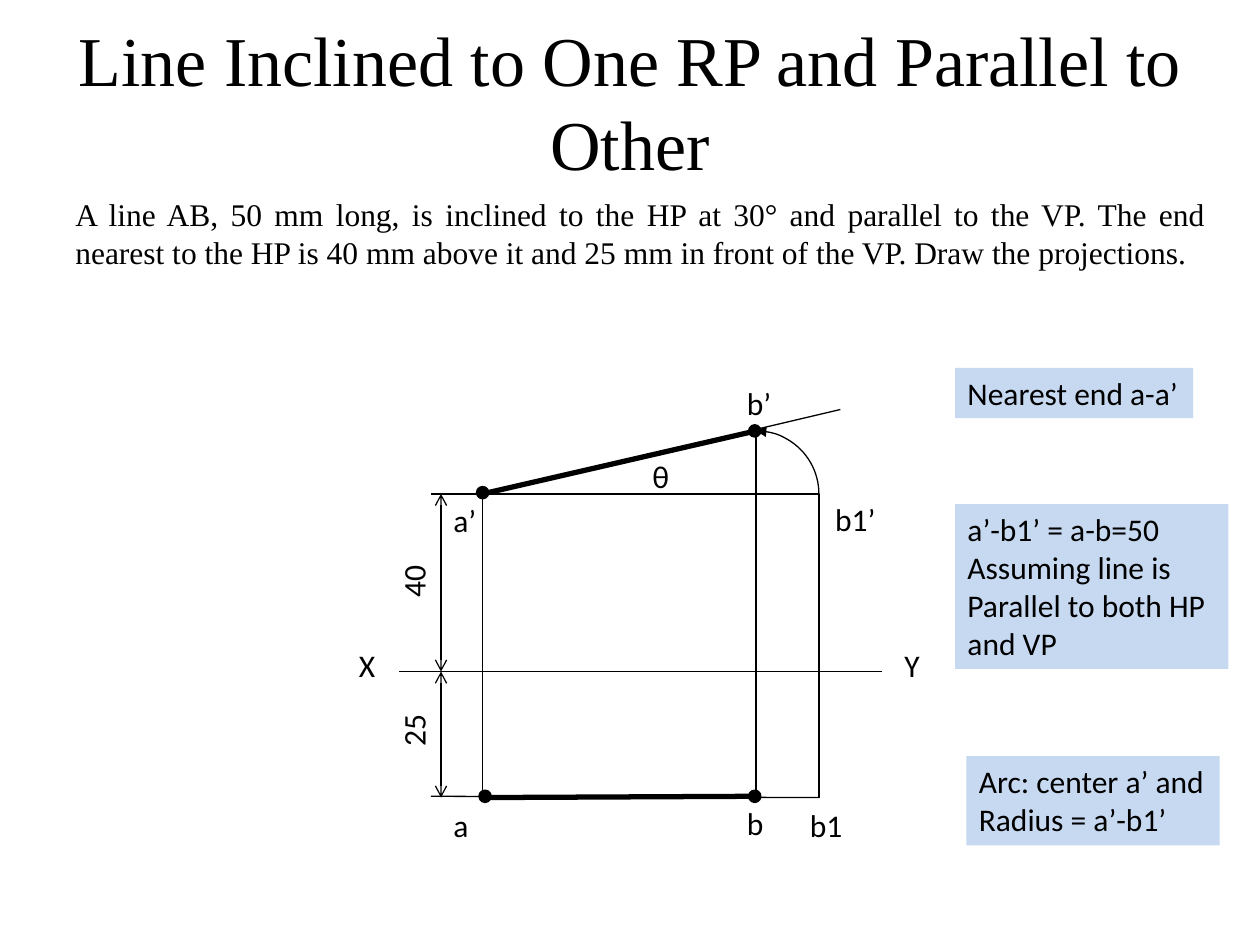
from lxml.etree import SubElement
from pptx import Presentation
from pptx.dml.color import RGBColor
from pptx.enum.shapes import MSO_CONNECTOR, MSO_SHAPE
from pptx.enum.text import MSO_ANCHOR, MSO_AUTO_SIZE, PP_ALIGN
from pptx.oxml.ns import qn
from pptx.util import Inches, Pt


def paint(target, color):
    """Give a fill or a font colour a solid hex colour."""
    if hasattr(target, "solid"):
        target.solid()
        target = target.fore_color
    target.rgb = RGBColor.from_string(color)


def write(shape, text, font="Calibri", size=18, align=PP_ALIGN.LEFT, wrap=False):
    frame = shape.text_frame
    frame.text = text
    frame_format = {
        "word_wrap": wrap,
        "auto_size": MSO_AUTO_SIZE.SHAPE_TO_FIT_TEXT,
        "vertical_anchor": MSO_ANCHOR.TOP,
    }
    for name, value in frame_format.items():
        setattr(frame, name, value)
    for para in frame.paragraphs:
        para.alignment = align
        para.font.name = font
        para.font.size = Pt(size)
        paint(para.font.color, "000000")


deck = Presentation()
deck.slide_width, deck.slide_height = Inches(10), Inches(7.5)
slide = deck.slides.add_slide(deck.slide_layouts[6])
shapes = slide.shapes

# Heading and problem statement
title = shapes.add_textbox(Inches(0.5), Inches(0.42), Inches(9), Inches(0.75))
write(title, "Line Inclined to One RP and Parallel to Other",
      "Times New Roman", 40, PP_ALIGN.CENTER, True)
title.text_frame.auto_size = MSO_AUTO_SIZE.NONE
title.text_frame.vertical_anchor = MSO_ANCHOR.MIDDLE

problem = shapes.add_textbox(Inches(0.5), Inches(1.5), Inches(9.17), Inches(0.71))
write(problem,
      "A line AB, 50 mm long, is inclined to the HP at 30° and parallel to the VP. "
      "The end nearest to the HP is 40 mm above it and 25 mm in front of the VP. "
      "Draw the projections.",
      "Times New Roman", 18, PP_ALIGN.JUSTIFY, True)

# Key positions of the projections
a_x, b_x, turn_x = 3.83, 6, 6.5
b_top, a_top, axis, plan = 3.42, 3.92, 5.33, 6.33
dim_x, edge = 3.5, 3.42

# Start, end, weight, arrows at both ends
lines = [
    (3.17, axis, 7, axis, 1, False),
    (a_x, a_top, 6.67, 3.25, 0.75, False),
    (a_x, a_top, b_x, b_top, 3, False),
    (a_x, plan, b_x, 6.32, 3, False),
    (b_x, b_top, b_x, plan, 0.75, False),
    (a_x, a_top, a_x, plan, 0.75, False),
    (turn_x, a_top, turn_x, plan, 0.75, False),
    (edge, a_top, turn_x, a_top, 0.75, False),
    (edge, 6.32, turn_x, plan, 0.75, False),
    (dim_x, plan, dim_x, axis, 0.75, True),
    (dim_x, axis, dim_x, a_top, 0.75, True),
]
for x1, y1, x2, y2, weight, arrows in lines:
    link = shapes.add_connector(
        MSO_CONNECTOR.STRAIGHT, Inches(x1), Inches(y1), Inches(x2), Inches(y2))
    link.line.width = Pt(weight)
    paint(link.line.fill, "000000")
    props = link.element.spPr
    if arrows:
        for end in ("a:headEnd", "a:tailEnd"):
            SubElement(props.find(qn("a:ln")), qn(end), type="arrow")
    SubElement(props, qn("a:effectLst"))

# Arc that turns b1’ up to b’
arc = shapes.add_shape(
    MSO_SHAPE.ARC, Inches(5.5), Inches(b_top), Inches(1), Inches(1))
arc.shadow.inherit = False
arc.fill.background()
arc.line.width = Pt(0.75)
paint(arc.line.fill, "000000")
SubElement(arc.element.spPr.find(qn("a:ln")), qn("a:headEnd"), type="triangle")

# End points
for x, y in [(3.79, 3.87), (3.81, 6.28), (5.95, 6.28), (5.95, 3.38)]:
    dot = shapes.add_shape(
        MSO_SHAPE.OVAL, Inches(x), Inches(y), Inches(0.08), Inches(0.08))
    dot.shadow.inherit = False
    dot.line.width = Pt(2)
    for fill in (dot.fill, dot.line.fill):
        paint(fill, "000000")

# Point names
labels = [
    ("X", 2.75, 5.08, 0.33), ("Y", 7.08, 5.08, 0.32),
    ("a’", 3.5, 3.93, 0.39), ("a", 3.5, 6.35, 0.32),
    ("b’", 5.83, 3, 0.4), ("b", 5.83, 6.33, 0.34),
    ("b1’", 6.53, 3.92, 0.53), ("b1", 6.33, 6.35, 0.46),
    ("θ", 5.08, 3.58, 0.34),
]
for text, x, y, width in labels:
    label = shapes.add_textbox(Inches(x), Inches(y), Inches(width), Inches(0.4))
    write(label, text)

# Dimensions, read from below
for text, y in [("40", 4.48), ("25", 5.66)]:
    label = shapes.add_textbox(Inches(3.08), Inches(y), Inches(0.5), Inches(0.36))
    write(label, text)
    label.element.txBody.find(qn("a:bodyPr")).set("vert", "vert270")

# Notes on the steps
notes = [
    ("Nearest end a-a’", 7.58, 2.92, 1.89, 0.4),
    ("a’-b1’ = a-b=50\nAssuming line is\nParallel to both HP\nand VP",
     7.58, 4, 2.17, 1.31),
    ("Arc: center a’ and\nRadius = a’-b1’", 7.67, 6, 2.01, 0.71),
]
for text, x, y, width, height in notes:
    note = shapes.add_shape(
        MSO_SHAPE.RECTANGLE, Inches(x), Inches(y), Inches(width), Inches(height))
    note.shadow.inherit = False
    note.line.fill.background()
    paint(note.fill, "C6D9F1")
    write(note, text)

deck.save("out.pptx")
